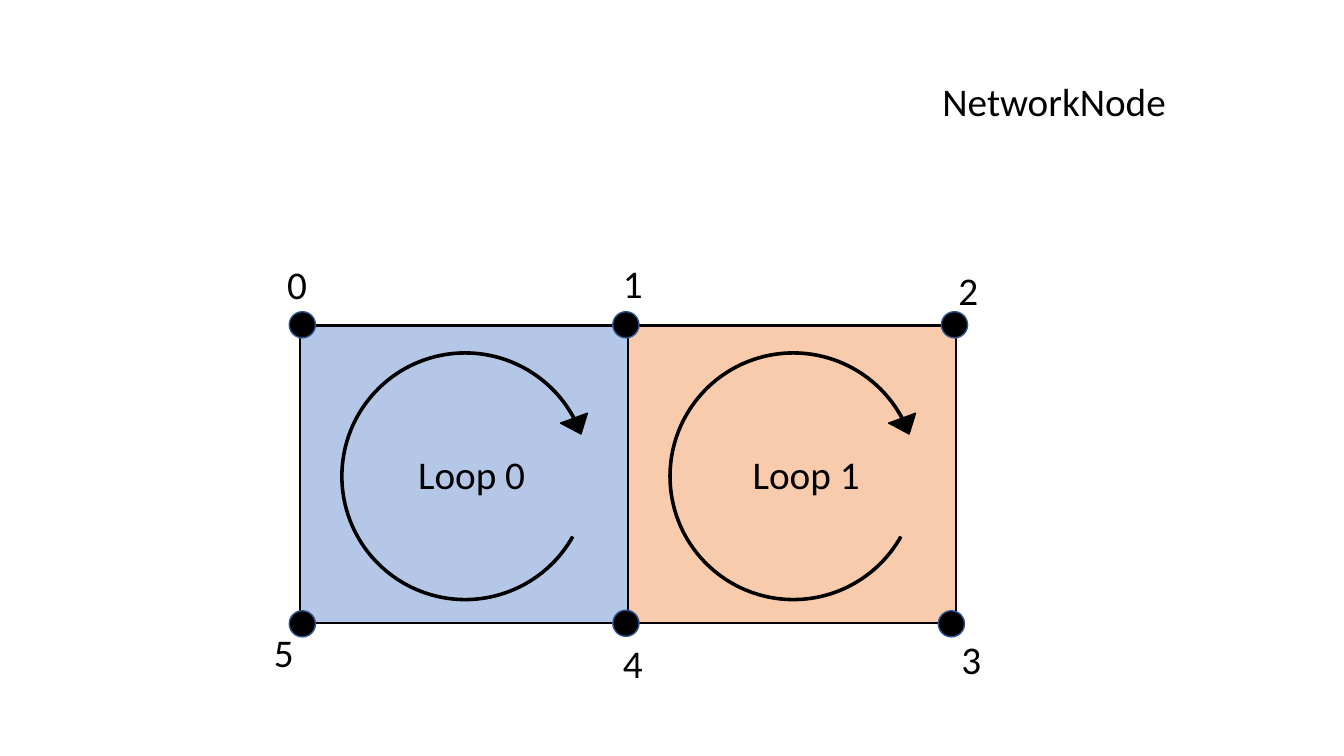
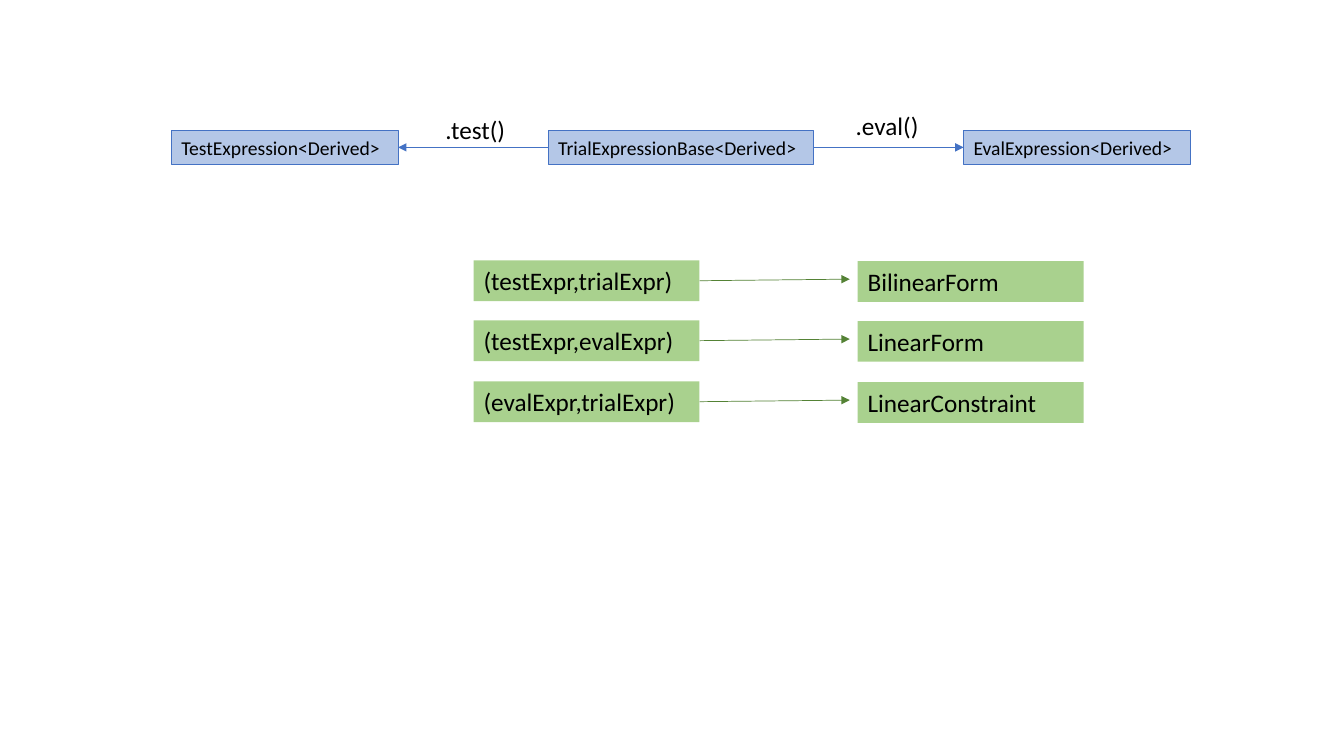
from dataclasses import dataclass

from lxml import etree
from pptx import Presentation
from pptx.dml.color import RGBColor
from pptx.enum import shapes, text
from pptx.oxml import ns
from pptx.util import Pt

BLACK = RGBColor(0x00, 0x00, 0x00)
BLUE = RGBColor(0xB4, 0xC7, 0xE7)
EDGE = RGBColor(0x44, 0x72, 0xC4)
NAVY = RGBColor(0x32, 0x54, 0x91)
PEACH = RGBColor(0xF8, 0xCB, 0xAD)
GREEN = RGBColor(0xA9, 0xD1, 0x8E)
MOSS = RGBColor(0x54, 0x82, 0x35)
FONT = "Calibri"
KIND = shapes.MSO_SHAPE


@dataclass(frozen=True)
class Box:
    x: float
    y: float
    w: float
    h: float

    def pts(self) -> list:
        return [Pt(v) for v in (self.x, self.y, self.w, self.h)]


@dataclass(frozen=True)
class Node:
    """A mesh node: its centre, and the corner of its label."""
    name: str
    x: float
    y: float
    tx: float
    ty: float


@dataclass(frozen=True)
class Loop:
    name: str
    fill: RGBColor
    tx: float


@dataclass(frozen=True)
class Rule:
    """A pair of arguments and the form it yields."""
    args: str
    form: str
    y: float


def write(shape, words: str, size: float = 28, color: RGBColor = BLACK,
          fit=text.MSO_AUTO_SIZE.SHAPE_TO_FIT_TEXT):
    frame = shape.text_frame
    frame.word_wrap = True
    frame.auto_size = fit
    frame.vertical_anchor = text.MSO_ANCHOR.TOP
    para = frame.paragraphs[0]
    para.text = words
    para.alignment = text.PP_ALIGN.LEFT
    font = para.font
    font.name, font.size, font.color.rgb = FONT, Pt(size), color
    return shape


def label(slide, words: str, box: Box, **style):
    return write(slide.shapes.add_textbox(*box.pts()), words, **style)


def draw(slide, kind, box: Box, fill: RGBColor, edge=None, width: float = 1):
    shape = slide.shapes.add_shape(kind, *box.pts())
    shape.shadow.inherit = False
    shape.fill.solid()
    shape.fill.fore_color.rgb = fill
    if edge is None:
        shape.line.fill.background()
    else:
        shape.line.color.rgb = edge
        shape.line.width = Pt(width)
    return shape


def arrow(slide, start, side: int, x: float, y: float, color: RGBColor):
    """Draw an arrow from a side of the start shape to a point."""
    link = slide.shapes.add_connector(
        shapes.MSO_CONNECTOR.STRAIGHT, Pt(x), Pt(y), Pt(x), Pt(y))
    link.begin_connect(start, side)
    link.line.color.rgb = color
    link.line.width = Pt(0.5)
    props = link._element.spPr
    etree.SubElement(props.find(ns.qn("a:ln")), ns.qn("a:tailEnd"),
                     type="triangle")
    etree.SubElement(props, ns.qn("a:effectLst"))
    return link


LEFT, TOP, WIDE, HIGH = 214.4, 232.5, 234.4, 212.4
DOT, RING = 18.7, 196.6
TURN = (0.008, 4.825, 199.14, 17.735, 0.052)
LOOPS = (Loop("Loop 0", BLUE, 291.6), Loop("Loop 1", PEACH, 530.6))
NODES = (
    Node("0", 216, 232, 198, 182.2),
    Node("1", 447.1, 232, 437.8, 181.4),
    Node("2", 681.8, 232, 677.5, 186.5),
    Node("3", 679.6, 445.6, 679.7, 450),
    Node("4", 447.1, 445.2, 437.8, 452.9),
    Node("5", 216, 445.6, 188.6, 445),
)


def mesh(deck) -> None:
    slide = deck.slides.add_slide(deck.slide_layouts[5])
    title = slide.shapes.title
    title.left, title.top, title.width, title.height = Box(
        666, 51.8, 186.5, 41).pts()
    write(title, "NetworkNode", fit=text.MSO_AUTO_SIZE.NONE)
    for i, loop in enumerate(LOOPS):
        x = LEFT + i * WIDE
        draw(slide, KIND.RECTANGLE, Box(x, TOP, WIDE, HIGH),
             loop.fill, BLACK, 1.5)
        ring = draw(slide, KIND.CIRCULAR_ARROW,
                    Box(x + 19.6, 241.9, RING, RING), BLACK, BLACK)
        for k, value in enumerate(TURN):
            ring.adjustments[k] = value
        label(slide, loop.name, Box(loop.tx, 318.2, 119.5, 41))
    for node in NODES:
        draw(slide, KIND.OVAL,
             Box(node.x - DOT / 2, node.y - DOT / 2, DOT, DOT), BLACK, NAVY)
        label(slide, node.name, Box(node.tx, node.ty, 36, 41))


RULES = (
    Rule("(testExpr,trialExpr)", "BilinearForm", 186),
    Rule("(testExpr,evalExpr)", "LinearForm", 228.8),
    Rule("(evalExpr,trialExpr)", "LinearConstraint", 272.4),
)


def types(deck) -> None:
    slide = deck.slides.add_slide(deck.slide_layouts[6])

    def card(words: str, x: float, w: float):
        shape = draw(slide, KIND.RECTANGLE, Box(x, 93.2, w, 24.2),
                     BLUE, EDGE, 0.75)
        return write(shape, words, size=14)

    def cell(words: str, x: float, y: float):
        shape = draw(slide, KIND.RECTANGLE, Box(x, y, 161.3, 29.1), GREEN)
        return write(shape, words, size=18)

    base = card("TrialExpressionBase<Derived>", 391.7, 189.4)
    test = card("TestExpression<Derived>", 122.4, 162)
    value = card("EvalExpression<Derived>", 688.3, 162)
    for goal, out, into in ((test, 1, 3), (value, 3, 1)):
        arrow(slide, base, out, 0, 0, EDGE).end_connect(goal, into)
    label(slide, ".test()", Box(311, 77.8, 61.2, 29.1), size=18)
    label(slide, ".eval()", Box(604.1, 74.9, 61.2, 29.1), size=18)

    for rule in RULES:
        args = cell(rule.args, 338.4, rule.y)
        cell(rule.form, 612.7, rule.y + 0.5)
        arrow(slide, args, 3, 607, rule.y + 13.4, MOSS)


def main() -> None:
    deck = Presentation()
    deck.slide_width, deck.slide_height = Pt(960), Pt(540)
    mesh(deck)
    types(deck)
    deck.save("out.pptx")


if __name__ == "__main__":
    main()
